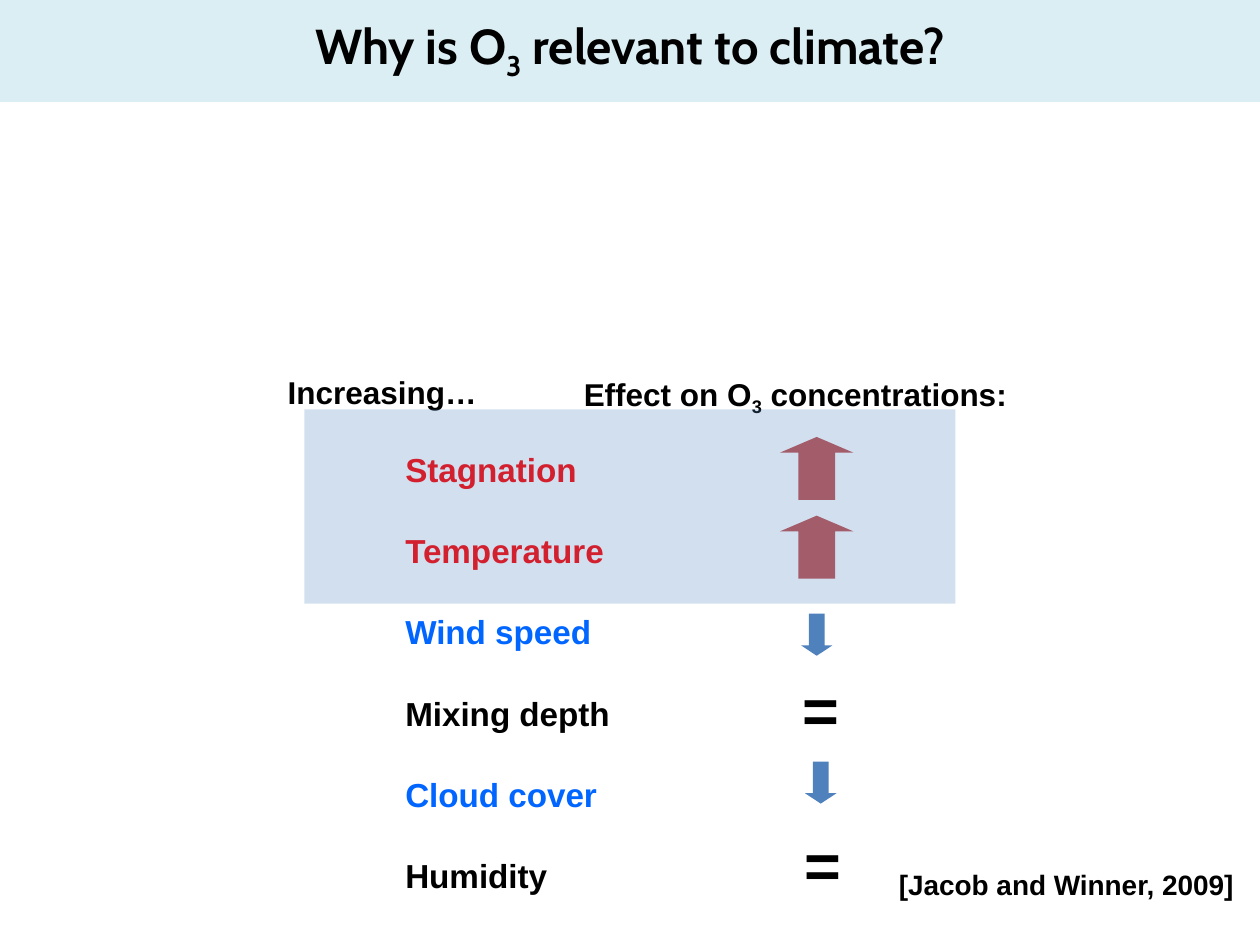
from lxml.etree import SubElement
from pptx import Presentation
from pptx.dml.color import RGBColor
from pptx.enum.shapes import MSO_SHAPE
from pptx.enum.text import MSO_ANCHOR, PP_ALIGN
from pptx.oxml.ns import qn
from pptx.util import Pt

BLACK, RED, BLUE = "000000", "FF0000", "0066FF"
PALE, STEEL, BRICK = "DBEEF4", "4F81BD", "C0504D"


def color(hex_code):
    return RGBColor.from_string(hex_code)


class Builder:
    """Holds the text style and the current page; all lengths are in points."""

    font = "Arial"
    title_font = "Cabin"
    inset = 3.6

    def __init__(self, page):
        self.page = page

    def format_span(self, span, size, hex_code=BLACK, font=None):
        span.font.name = font or self.font
        span.font.size = Pt(size)
        span.font.bold = True
        span.font.color.rgb = color(hex_code)

    def add_formula(self, para, parts, size, font=None):
        """Write parts as runs, with every second one as a subscript."""
        for index, part in enumerate(parts):
            span = para.add_run()
            span.text = part
            self.format_span(span, size, font=font)
            if index % 2:
                span.font._element.set("baseline", "-25000")

    def title(self, parts, left, top, width, height):
        box = self.page.shapes.title
        box.left, box.top, box.width, box.height = map(Pt, (left, top, width, height))
        box.fill.solid()
        box.fill.fore_color.rgb = color(PALE)
        box.line.color.rgb = color(PALE)
        box.line.width = Pt(0.75)
        box.text_frame.vertical_anchor = MSO_ANCHOR.MIDDLE
        para = box.text_frame.paragraphs[0]
        para.alignment = PP_ALIGN.CENTER
        self.add_formula(para, parts, 28, self.title_font)

    def text_frame(self, left, top, width, height):
        box = self.page.shapes.add_textbox(*map(Pt, (left, top, width, height)))
        frame = box.text_frame
        frame.word_wrap = False
        frame.margin_left = frame.margin_right = Pt(self.inset)
        frame.margin_top = frame.margin_bottom = Pt(self.inset)
        return frame

    def label(self, parts, size, *place):
        para = self.text_frame(*place).paragraphs[0]
        self.add_formula(para, parts, size)

    def factor_list(self, factors, size, gap, *place):
        frame = self.text_frame(*place)
        frame.text = "\n".join(name for name, _ in factors)
        for index, (para, (_, hex_code)) in enumerate(zip(frame.paragraphs, factors)):
            para.space_before = Pt(gap if index else 0)
            self.format_span(para.runs[0], size, hex_code)

    def shape(self, kind, hex_code, left, top, width, height):
        shape = self.page.shapes.add_shape(kind, *map(Pt, (left, top, width, height)))
        shape.shadow.inherit = False
        shape.fill.solid()
        shape.fill.fore_color.rgb = color(hex_code)
        shape.line.fill.background()
        return shape

    def rise_arrow(self, left, top):
        arrow = self.shape(MSO_SHAPE.UP_ARROW, BRICK, left, top, 42, 36)
        arrow.adjustments[1] = 0.25

    def fall_arrow(self, left, top):
        arrow = self.shape(MSO_SHAPE.DOWN_ARROW, STEEL, left, top, 18, 24)
        arrow.adjustments[1] = 0.33

    def equal_sign(self, left, top):
        self.label(["="], 36, left, top, 28.1, 50.4)

    def highlight(self, *place):
        """Cover an area with a see-through rectangle."""
        band = self.shape(MSO_SHAPE.RECTANGLE, STEEL, *place)
        fill_color = band.fill._xPr.find(qn("a:solidFill"))[0]
        SubElement(fill_color, qn("a:alpha"), val="25000")


def main():
    deck = Presentation()
    deck.slide_width, deck.slide_height = Pt(720), Pt(540)
    builder = Builder(deck.slides.add_slide(deck.slide_layouts[5]))

    builder.title(["Why is O", "3", " relevant to climate?"], 0, -2, 720, 60)
    factors = [
        ("Stagnation", RED),
        ("Temperature", RED),
        ("Wind speed", BLUE),
        ("Mixing depth", BLACK),
        ("Cloud cover", BLUE),
        ("Humidity", BLACK),
    ]
    builder.factor_list(factors, 19, 23.7, 228, 253, 126, 304)

    builder.rise_arrow(445.7, 249.7)
    builder.rise_arrow(445.7, 294.7)
    builder.fall_arrow(457.7, 350.7)
    builder.equal_sign(455, 379.4)
    builder.fall_arrow(460, 435.2)
    builder.equal_sign(456, 468)

    builder.label(["Increasing…"], 18, 160.8, 209.5, 116.6, 28.8)
    builder.label(["Effect on O", "3", " concentrations:"], 18, 330, 210.5, 252, 28.8)
    builder.label(["[Jacob and Winner, 2009]"], 16, 510, 492, 201, 26.6)
    builder.highlight(174, 234, 372, 111)

    deck.save("out.pptx")


if __name__ == "__main__":
    main()
